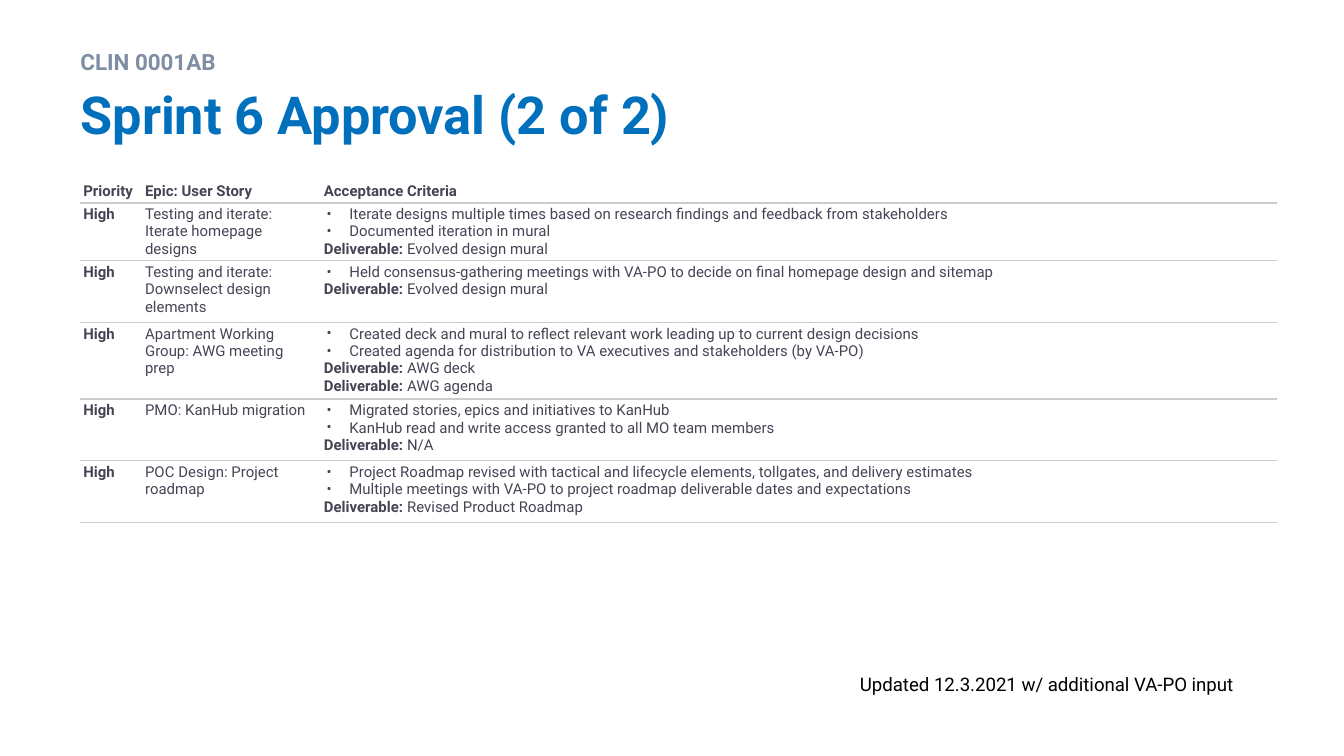
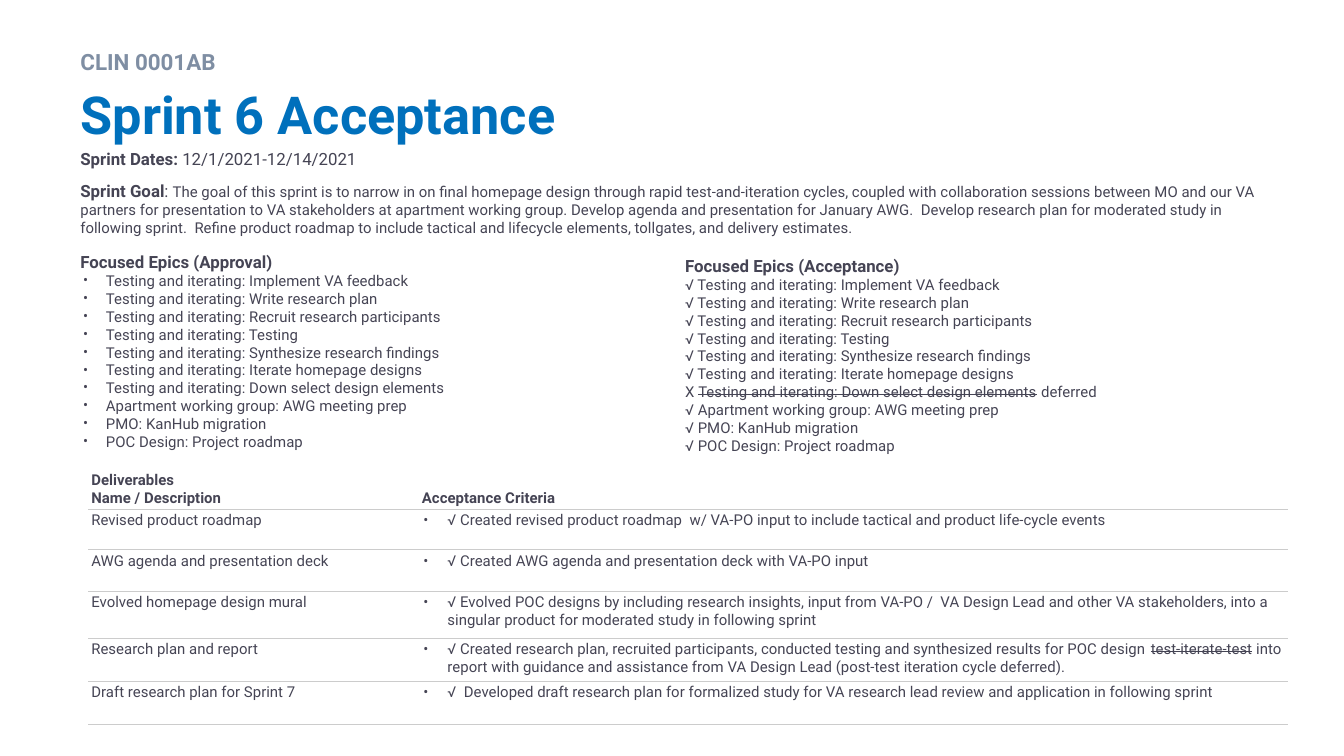
from lxml import etree
from pptx import Presentation
from pptx.dml.color import RGBColor
from pptx.enum.shapes import MSO_SHAPE
from pptx.enum.text import MSO_ANCHOR, MSO_AUTO_SIZE, PP_ALIGN
from pptx.oxml.ns import qn
from pptx.util import Inches, Pt

RECT = MSO_SHAPE.RECTANGLE
TOP, BOTTOM = MSO_ANCHOR.TOP, MSO_ANCHOR.BOTTOM
LEFT = PP_ALIGN.LEFT
NO_FIT = MSO_AUTO_SIZE.NONE

FONT = "Roboto"
COLORS = {
    "title": "0070BC",
    "eyebrow": "7F8EA3",
    "text": "454454",
    "note": "000000",
    "rule": "CCCCCC",
    "white": "FFFFFF",
}
BULLET = "• "
STYLES = {
    "*": {"bold": True},
    "~": {"strike": True},
    "#": {"bold": True, "size": 9},
    "+": {"size": 9},
}

EYEBROW = "CLIN 0001AB"
UPDATE_NOTE = "Updated 12.3.2021 w/ additional VA-PO input"

APPROVAL = {
    "left": 0.6,
    "top": 1.34,
    "cols": [0.46, 1.33, 7.11],
    "heights": [0.17, 0.43, 0.46, 0.57, 0.46, 0.46],
    "hang": 0.17,
    "margin_right": 0.05,
    "rows": [
        (["*Priority"], ["*Epic: User Story"], ["*Acceptance Criteria"]),
        (["*High"], ["Testing and iterate: Iterate homepage designs"], [
            "• Iterate designs multiple times based on research findings and feedback from stakeholders",
            "• Documented iteration in mural",
            "*Deliverable:| Evolved design mural",
        ]),
        (["*High"], ["Testing and iterate: Downselect design elements"], [
            "• Held consensus-gathering meetings with VA-PO to decide on final homepage design and sitemap",
            "*Deliverable:| Evolved design mural",
        ]),
        (["*High"], ["Apartment Working Group: AWG meeting prep"], [
            "• Created deck and mural to reflect relevant work leading up to current design decisions",
            "• Created agenda for distribution to VA executives and stakeholders (by VA-PO)",
            "*Deliverable:| AWG deck",
            "*Deliverable: |AWG agenda",
        ]),
        (["*High"], ["PMO: KanHub migration"], [
            "• Migrated stories, epics and initiatives to KanHub",
            "• KanHub read and write access granted to all MO team members",
            "*Deliverable:| N/A",
        ]),
        (["*High"], ["POC Design: Project roadmap"], [
            "• Project Roadmap revised with tactical and lifecycle elements, tollgates, and delivery estimates",
            "• Multiple meetings with VA-PO to project roadmap deliverable dates and expectations",
            "*Deliverable:| Revised Product Roadmap",
        ]),
    ],
}

DELIVERABLES = {
    "left": 0.66,
    "top": 3.49,
    "cols": [2.46, 6.46],
    "heights": [0.3, 0.3, 0.31, 0.35, 0.32, 0.32],
    "hang": 0.18,
    "margin_right": 0.02,
    "rows": [
        (["*Deliverables", "*Name / Description"], ["*Acceptance Criteria"]),
        (["Revised product roadmap"], [
            "• √ Created revised product roadmap  w/ VA-PO input to include tactical and product life-cycle events",
        ]),
        (["AWG agenda and presentation deck"], [
            "• √ Created AWG agenda and presentation deck with VA-PO input",
        ]),
        (["Evolved homepage design mural"], [
            "• √ Evolved POC designs by including research insights, input from VA-PO /  VA Design Lead "
            "and other VA stakeholders, into a singular product for moderated study in following sprint",
        ]),
        (["Research plan and report"], [
            "• √ Created research plan, recruited participants, conducted testing and synthesized results "
            "for POC design |~test-iterate-test| into report with guidance and assistance from "
            "VA Design Lead (post-test iteration cycle deferred).",
        ]),
        (["Draft research plan for Sprint 7"], [
            "• √  Developed draft research plan for formalized study for VA research lead review "
            "and application in following sprint",
        ]),
    ],
}

EPICS = [
    "Testing and iterating: Implement VA feedback",
    "Testing and iterating: Write research plan",
    "Testing and iterating: Recruit research participants",
    "Testing and iterating: Testing",
    "Testing and iterating: Synthesize research findings",
    "Testing and iterating: Iterate homepage designs",
    "Testing and iterating: Down select design elements",
    "Apartment working group: AWG meeting prep",
    "PMO: KanHub migration",
    "POC Design: Project roadmap",
]
DEFERRED = "Testing and iterating: Down select design elements"
SPRINT_DATES = "#Sprint Dates: |+12/1/2021-12/14/2021"
SPRINT_GOAL = (
    "#Sprint Goal|+: |The goal of this sprint is to narrow in on final homepage design through rapid "
    "test-and-iteration cycles, coupled with collaboration sessions between MO and our VA partners for "
    "presentation to VA stakeholders at apartment working group. Develop agenda and presentation for "
    "January AWG.  Develop research plan for moderated study in following sprint.  Refine product roadmap "
    "to include tactical and lifecycle elements, tollgates, and delivery estimates."
)


def rgb(name):
    return RGBColor.from_string(COLORS[name])


def set_bullet(p, hang):
    pPr = p._p.get_or_add_pPr()
    pPr.set("marL", str(Inches(0.19)))
    pPr.set("indent", str(-Inches(hang)))
    color = etree.SubElement(pPr, qn("a:buClr"))
    etree.SubElement(color, qn("a:srgbClr"), val=COLORS["text"])
    etree.SubElement(pPr, qn("a:buFont"), typeface=FONT)
    etree.SubElement(pPr, qn("a:buChar"), char=BULLET.strip())


def write(tf, lines, size=8, color="text", hang=0.17, spacing=None):
    for i, line in enumerate(lines):
        p = tf.paragraphs[0] if i == 0 else tf.add_paragraph()
        p.alignment = LEFT
        if spacing:
            p.line_spacing = spacing
        if line.startswith(BULLET):
            set_bullet(p, hang)
            line = line[len(BULLET):]
        for part in line.split("|"):
            style = STYLES.get(part[0], {})
            r = p.add_run()
            r.text = part[1:] if style else part
            r.font.name = FONT
            r.font.size = Pt(style.get("size", size))
            r.font.bold = style.get("bold", False)
            r.font.color.rgb = rgb(color)
            if style.get("strike"):
                r._r.get_or_add_rPr().set("strike", "sngStrike")


def set_frame(tf, inset=0.1):
    tf.word_wrap = True
    tf.auto_size = NO_FIT
    tf.vertical_anchor = TOP
    tf.margin_left = tf.margin_right = Inches(0.1)
    tf.margin_top = tf.margin_bottom = Inches(inset)


def add_text(slide, box, lines, inset=0.1, **style):
    sp = slide.shapes.add_textbox(*map(Inches, box))
    set_frame(sp.text_frame, inset)
    write(sp.text_frame, lines, **style)
    return sp


def add_slide(prs, title):
    slide = prs.slides.add_slide(prs.slide_layouts[5])
    sp = slide.shapes.title
    sp.left, sp.top, sp.width, sp.height = map(Inches, (0.5, 0.56, 9, 0.69))
    set_frame(sp.text_frame, 0.05)
    write(sp.text_frame, ["*" + title], size=28, color="title")
    add_text(slide, (0.5, 0.27, 9, 0.29), ["*" + EYEBROW], inset=0.05,
             size=12, color="eyebrow", spacing=1.2)
    return slide


def set_borders(cell, is_header):
    tcPr = cell._tc.get_or_add_tcPr()
    top = "white" if is_header else "rule"
    sides = {"lnL": "white", "lnR": "white", "lnT": top, "lnB": "rule"}
    for i, (side, color) in enumerate(sides.items()):
        ln = etree.Element(qn("a:" + side), w=str(Pt(0.75)))
        fill = etree.SubElement(ln, qn("a:solidFill"))
        etree.SubElement(fill, qn("a:srgbClr"), val=COLORS[color])
        tcPr.insert(i, ln)


def add_criteria_table(slide, spec):
    rows, cols, heights = spec["rows"], spec["cols"], spec["heights"]
    box = (spec["left"], spec["top"], sum(cols), sum(heights))
    table = slide.shapes.add_table(len(rows), len(cols), *map(Inches, box)).table
    table.first_row = table.horz_banding = False
    for column, width in zip(table.columns, cols):
        column.width = Inches(width)
    for i, row in enumerate(rows):
        table.rows[i].height = Inches(heights[i])
        for j, lines in enumerate(row):
            cell = table.cell(i, j)
            cell.margin_left = cell.margin_top = cell.margin_bottom = Inches(0.02)
            cell.margin_right = Inches(spec["margin_right"] if i else 0.02)
            cell.vertical_anchor = TOP if i else BOTTOM
            cell.fill.background()
            set_borders(cell, i == 0)
            write(cell.text_frame, lines, hang=spec["hang"])


def build_approval(prs):
    slide = add_slide(prs, "Sprint 6 Approval (2 of 2)")
    add_criteria_table(slide, APPROVAL)
    add_text(slide, (6.3, 4.91, 3.2, 0.37), [UPDATE_NOTE], size=10, color="note")


def build_acceptance(prs):
    slide = add_slide(prs, "Sprint 6 Acceptance")
    planned = [SPRINT_DATES, SPRINT_GOAL, "#Focused Epics (Approval)"]
    planned += [BULLET + epic for epic in EPICS]
    sp = add_text(slide, (0.5, 1.01, 9, 2.47), planned)
    for i, gap in ((1, 6), (2, 8)):
        sp.text_frame.paragraphs[i].space_before = Pt(gap)
    add_criteria_table(slide, DELIVERABLES)

    accepted = ["#Focused Epics (Acceptance)"]
    accepted += [f"X |~{epic}| deferred" if epic == DEFERRED else "√ " + epic for epic in EPICS]
    sp = slide.shapes.add_shape(RECT, *map(Inches, (5, 1.8, 3.46, 1.7)))
    sp.shadow.inherit = False
    sp.fill.solid()
    sp.fill.fore_color.rgb = rgb("white")
    sp.line.fill.background()
    set_frame(sp.text_frame)
    write(sp.text_frame, accepted)


def main():
    prs = Presentation()
    prs.slide_width = Inches(10)
    prs.slide_height = prs.slide_width * 9 // 16
    build_approval(prs)
    build_acceptance(prs)
    prs.save("out.pptx")


if __name__ == "__main__":
    main()
